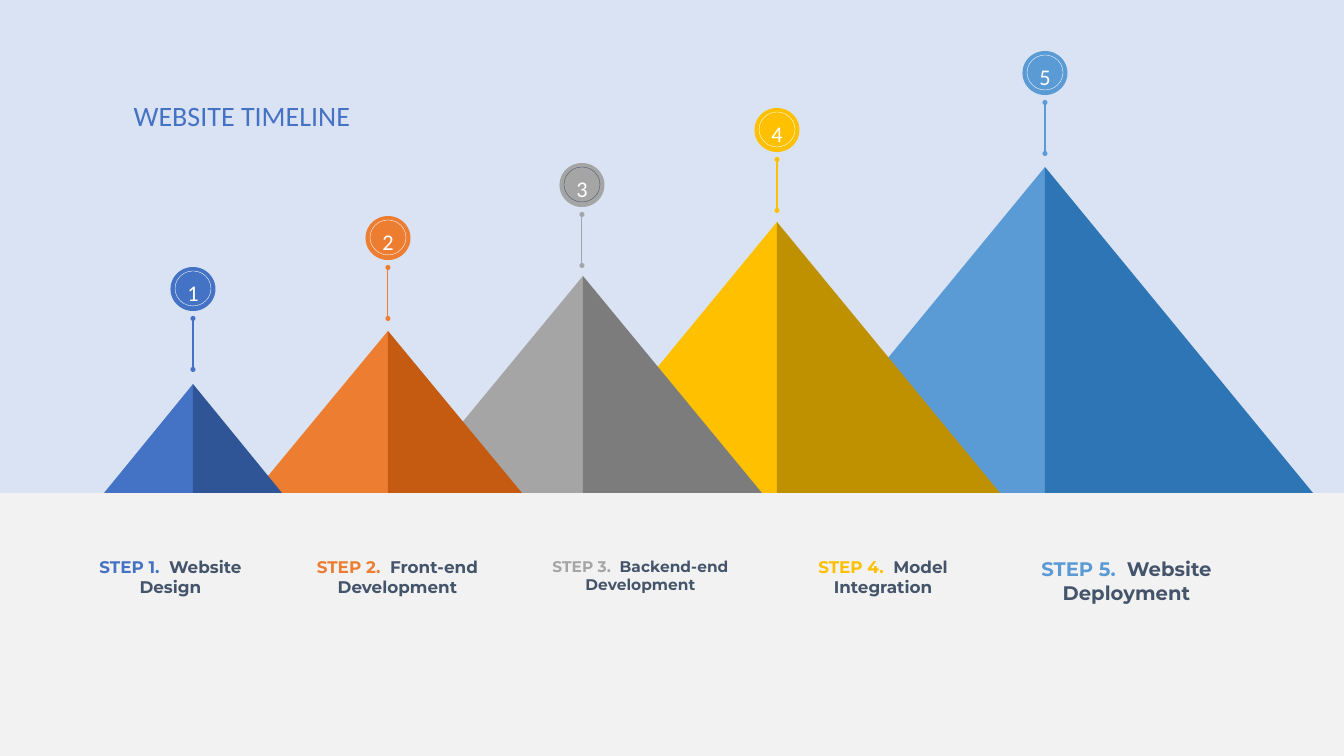
import pptx
import pptx.util
import pptx.dml.color
import pptx.enum.shapes
import pptx.enum.text
import pptx.oxml

RGB = pptx.dml.color.RGBColor
SKY = RGB(0xDA, 0xE3, 0xF3)
GROUND = RGB(0xF2, 0xF2, 0xF2)
WHITE = RGB(0xFF, 0xFF, 0xFF)
SLATE = RGB(0x44, 0x54, 0x6A)
BLUE, NAVY = RGB(0x44, 0x72, 0xC4), RGB(0x2F, 0x55, 0x97)
ORANGE, RUST = RGB(0xED, 0x7D, 0x31), RGB(0xC5, 0x5A, 0x11)
GRAY, STONE = RGB(0xA5, 0xA5, 0xA5), RGB(0x7C, 0x7C, 0x7C)
GOLD, OCHRE = RGB(0xFF, 0xC0, 0x00), RGB(0xBF, 0x90, 0x00)
AZURE, DEEP = RGB(0x5B, 0x9B, 0xD5), RGB(0x2E, 0x75, 0xB6)

# Content, lengths in px
TITLE = "WEBSITE TIMELINE"
STEPS = [
    dict(name="Website Design", light=BLUE, dark=NAVY, ring=WHITE, peak=(193, 384),
         half=89, pin=(193, 267), label=(87, 167), size=12),
    dict(name="Front-end Development", light=ORANGE, dark=RUST, ring=WHITE, peak=(388, 331),
         half=134, pin=(388, 216), label=(284, 227), size=12),
    dict(name="Backend-end Development", light=GRAY, dark=STONE, ring=SLATE, peak=(583, 276),
         half=179, pin=(582, 163), label=(526, 229), size=11),
    dict(name="Model Integration", light=GOLD, dark=OCHRE, ring=WHITE, peak=(777, 222),
         half=223, pin=(777, 108), label=(790, 186), size=12),
    dict(name="Website Deployment", light=AZURE, dark=DEEP, ring=WHITE, peak=(1045, 167),
         half=268, pin=(1045, 51), label=(1006, 241), size=14),
]
WIDE, HIGH, BASE = 1344, 756, 493
SCALE = 9071  # EMU in one px
SHAPE = pptx.enum.shapes.MSO_SHAPE
FRAME = dict(margin_left=0, margin_top=0, margin_right=0, margin_bottom=0,
             vertical_anchor=pptx.enum.text.MSO_ANCHOR.TOP,
             auto_size=pptx.enum.text.MSO_AUTO_SIZE.NONE)


def put(item, vals):
    for key, val in vals.items():
        setattr(item, key, val)


def px(*nums):
    return [round(num * SCALE) for num in nums]


def paint(shape, color):
    shape.shadow.inherit = False
    shape.fill.solid()
    shape.fill.fore_color.rgb = color
    shape.line.fill.background()


def write(shape, runs, font, size, space=1.0, wrap=True, bold=False):
    frame = shape.text_frame
    put(frame, FRAME)
    frame.word_wrap = wrap
    para = frame.paragraphs[0]
    put(para, dict(alignment=pptx.enum.text.PP_ALIGN.CENTER, line_spacing=space))
    for text, color in runs:
        run = para.add_run()
        run.text = text
        put(run.font, dict(name=font, size=pptx.util.Pt(size), bold=bold))
        run.font.color.rgb = color


def disc(shapes, x, y, wide, high, color):
    shape = shapes.add_shape(SHAPE.OVAL, *px(x - wide / 2, y, wide, high))
    paint(shape, color)
    return shape


def mount(shapes, step):
    x, y = step["peak"]
    for side, color in ((-1, step["light"]), (1, step["dark"])):
        path = shapes.build_freeform(x, y, scale=SCALE)
        path.add_line_segments([(x, BASE), (x + side * step["half"], BASE)], close=True)
        paint(path.convert_to_shape(), color)


def marker(shapes, num, step):
    x, y = step["pin"]
    color = step["light"]
    disc(shapes, x, y, 45, 44, color)
    ring = disc(shapes, x, y + 4, 36, 35, color)
    ring.fill.background()
    ring.line.color.rgb = step["ring"]
    ring.line.width = pptx.util.Pt(0.25)
    # Stem with a dot at each end
    stem = shapes.add_connector(pptx.enum.shapes.MSO_CONNECTOR.STRAIGHT,
                                *px(x, y + 103, x, y + 52))
    stem.line.color.rgb = color
    stem.line.width = pptx.util.Pt(0.75)
    stem.element.spPr.append(pptx.oxml.parse_xml(
        '<a:effectLst xmlns:a="http://schemas.openxmlformats.org/drawingml/2006/main"/>'))
    for drop in (100, 49):
        disc(shapes, x, y + drop, 5, 5, color)
    box = shapes.add_textbox(*px(x - 13, y + 7, 26, 30))
    write(box, [(str(num), WHITE)], "Calibri", 16, space=1.2)


def main():
    deck = pptx.Presentation()
    deck.slide_width, deck.slide_height = px(WIDE, HIGH)
    slide = deck.slides.add_slide(deck.slide_layouts[5])
    shapes = slide.shapes

    # Ground and sky
    slide.background.fill.solid()
    slide.background.fill.fore_color.rgb = GROUND
    paint(shapes.add_shape(SHAPE.RECTANGLE, *px(0, 0, WIDE, BASE)), SKY)

    # Mountains, farthest first
    for step in reversed(STEPS):
        mount(shapes, step)

    # Numbered pins and step labels
    for num, step in enumerate(STEPS, 1):
        marker(shapes, num, step)
        left, wide = step["label"]
        box = shapes.add_textbox(*px(left, 557, wide, 20))
        runs = [(f"STEP {num}.  ", step["light"]), (step["name"], SLATE)]
        write(box, runs, "Montserrat", step["size"], bold=True)

    # Title, in front of the sky
    title = shapes.title
    put(title, dict(zip(("left", "top", "width", "height"), px(133, 98, 218, 34))))
    write(title, [(TITLE, BLUE)], "Calibri", 20, wrap=False)
    title.element.getparent().append(title.element)

    deck.save("out.pptx")


if __name__ == "__main__":
    main()
